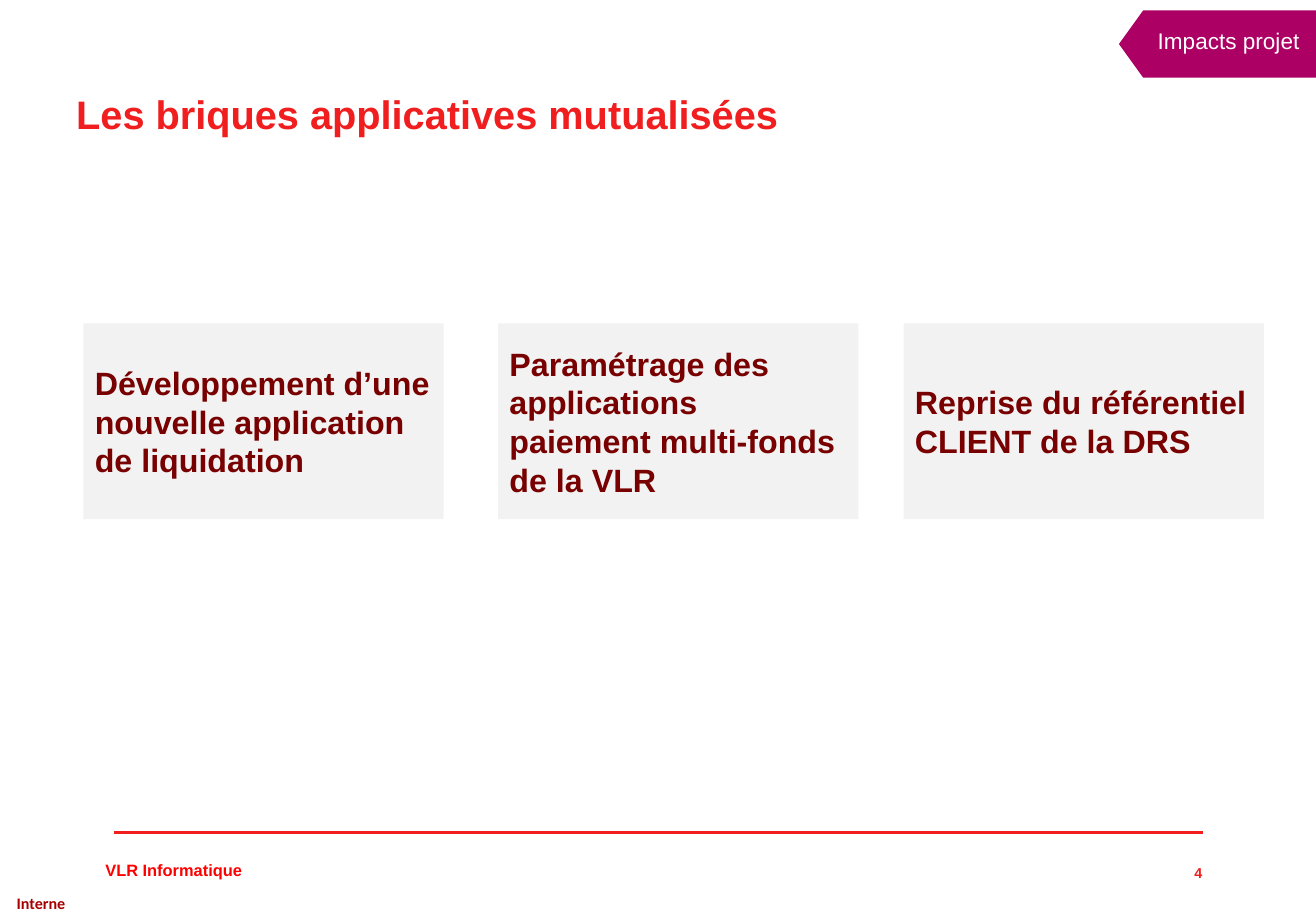
from lxml.etree import SubElement
from pptx import Presentation
from pptx.dml.color import RGBColor
from pptx.enum.shapes import MSO_CONNECTOR, MSO_SHAPE
from pptx.enum.text import MSO_ANCHOR, MSO_AUTO_SIZE, PP_ALIGN
from pptx.oxml.ns import qn
from pptx.util import Cm, Pt

COLORS = {
    "red": "F01E1E",
    "footer": "FF0000",
    "marking": "A80000",
    "tag": "AC0065",
    "card": "F2F2F2",
    "card_text": "780000",
    "white": "FFFFFF",
}
SLIDE_WIDTH, SLIDE_HEIGHT = 28.85, 20.14
CARD_LEFTS = (0, 9.09, 17.98)
CARD_WIDTH = 7.9
CARDS = (
    "Développement d’une nouvelle application de liquidation",
    "Paramétrage des applications paiement multi-fonds de la VLR",
    "Reprise du référentiel CLIENT de la DRS",
)


def color(name):
    return RGBColor.from_string(COLORS[name])


def write(shape, text, size, text_color, bold=True, font="Arial",
          align=PP_ALIGN.LEFT, anchor=MSO_ANCHOR.MIDDLE, spacing=None, margin=0.25):
    frame = shape.text_frame
    frame.word_wrap = True
    frame.auto_size = MSO_AUTO_SIZE.NONE
    frame.vertical_anchor = anchor
    frame.margin_left = frame.margin_right = Cm(margin)
    frame.margin_top = frame.margin_bottom = Cm(0.13)
    frame.text = text
    paragraph = frame.paragraphs[0]
    paragraph.alignment = align
    paragraph.line_spacing = spacing
    paragraph.font.name = font
    paragraph.font.size = Pt(size)
    paragraph.font.bold = bold
    paragraph.font.color.rgb = color(text_color)


def add_text(slide, box, text, size, text_color, **text_format):
    shape = slide.shapes.add_textbox(*map(Cm, box))
    write(shape, text, size, text_color, **text_format)


def add_block(slide, kind, box, fill):
    """Add a flat preset shape without outline."""
    shape = slide.shapes.add_shape(kind, *map(Cm, box))
    shape.shadow.inherit = False
    shape.fill.solid()
    shape.fill.fore_color.rgb = color(fill)
    shape.line.fill.background()
    return shape


def place_title(slide, left, top, width, height):
    title = slide.shapes.title
    title.left, title.top, title.width, title.height = map(Cm, (left, top, width, height))
    write(title, "Les briques applicatives mutualisées", 24.7, "red",
          anchor=MSO_ANCHOR.TOP, spacing=0.9)


def add_tag(slide, left, top, width, height):
    arrow = add_block(slide, MSO_SHAPE.PENTAGON, (left, top, width, height), "tag")
    arrow.adjustments[0] = 0.36
    arrow.rotation = 180
    indent = 0.6
    add_text(slide, (left + indent, top, width - indent, height), "Impacts projet",
             14, "white", bold=False, spacing=Pt(13))


def add_cards(slide, left, top, height):
    for offset, text in zip(CARD_LEFTS, CARDS):
        card = add_block(slide, MSO_SHAPE.RECTANGLE,
                         (left + offset, top, CARD_WIDTH, height), "card")
        write(card, text, 20, "card_text")


def add_footer(slide, left, top, width):
    rule = slide.shapes.add_connector(
        MSO_CONNECTOR.STRAIGHT, Cm(left), Cm(top), Cm(left + width), Cm(top))
    rule.line.color.rgb = color("red")
    rule.line.width = Pt(2)
    SubElement(rule._element.spPr, qn("a:effectLst"))
    label_top = top + 0.48
    add_text(slide, (left - 0.43, label_top, 5, 0.69), "VLR Informatique",
             10.2, "footer", anchor=MSO_ANCHOR.TOP)
    add_text(slide, (left + width - 1.03, label_top, 1.27, 0.81), "4",
             8.9, "red", align=PP_ALIGN.RIGHT)
    add_text(slide, (0, top + 1.19, 1.8, 0.74), "Interne", 10, "marking",
             font="Calibri", align=PP_ALIGN.CENTER, margin=0)


def main():
    presentation = Presentation()
    presentation.slide_width = Cm(SLIDE_WIDTH)
    presentation.slide_height = Cm(SLIDE_HEIGHT)
    slide = presentation.slides.add_slide(presentation.slide_layouts[5])
    add_footer(slide, 2.49, 18.24, 23.88)
    place_title(slide, 1.42, 1.96, 26.9, 1.3)
    add_cards(slide, 1.83, 7.09, 4.29)
    add_tag(slide, 24.53, 0.23, SLIDE_WIDTH - 24.53, 1.47)
    presentation.save("out.pptx")


if __name__ == "__main__":
    main()
